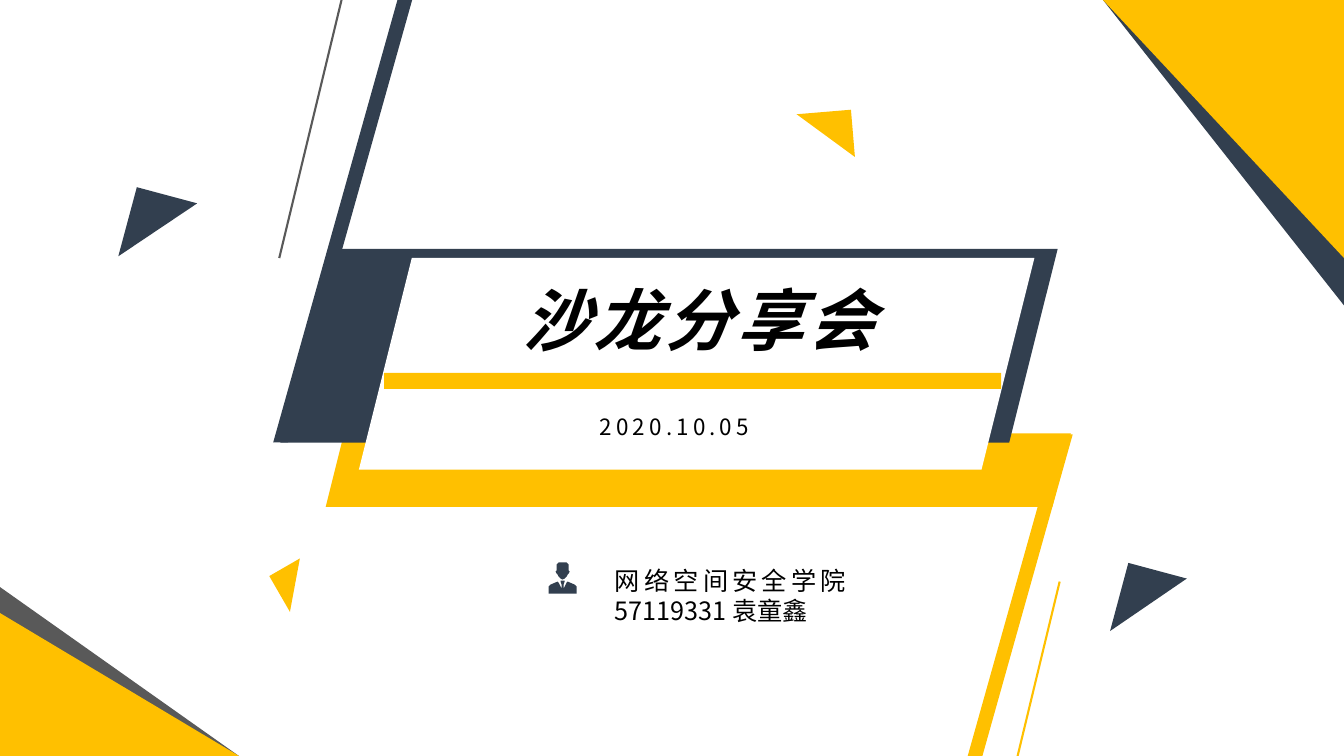
import pptx
import pptx.util
import pptx.dml.color
import pptx.enum.shapes
import pptx.enum.text
import pptx.oxml.ns
from lxml import etree
from pptx.util import Inches

THEME = {
    "navy": "323F4F",
    "gold": "FFC000",
    "gray": "595959",
    "white": "FFFFFF",
    "black": "000000",
    "font": "Noto Sans CJK SC",
    "title": 48,
    "author": 18,
    "date": 16,
    "line": 1.5,
    "leading": 1.2,
}
SHAPES = pptx.enum.shapes.MSO_SHAPE
ALIGN = pptx.enum.text.PP_ALIGN


def paint(shape, color):
    shape.shadow.inherit = False
    shape.fill.solid()
    shape.fill.fore_color.rgb = pptx.dml.color.RGBColor.from_string(THEME[color])
    shape.line.fill.background()


def add_text(left, top, width, height, lines, size, alignment, bold=False):
    box = slide.shapes.add_textbox(Inches(left), Inches(top), Inches(width), Inches(height))
    frame = box.text_frame
    frame.word_wrap = False
    frame.text = "\n".join(text for text, spacing in lines)
    for paragraph, (text, spacing) in zip(frame.paragraphs, lines):
        paragraph.alignment = alignment
        paragraph.line_spacing = pptx.util.Pt(THEME[size] * THEME["leading"])
        font = paragraph.runs[0].font
        font.size = pptx.util.Pt(THEME[size])
        font.name = THEME["font"]
        font.bold = font.italic = bold
        font.color.rgb = pptx.dml.color.RGBColor.from_string(THEME["black"])
        properties = paragraph.runs[0]._r.get_or_add_rPr()
        properties.set("spc", str(spacing * 100))
        east_asian = etree.SubElement(properties, pptx.oxml.ns.qn("a:ea"))
        east_asian.set("typeface", THEME["font"])


presentation = pptx.Presentation()
presentation.slide_width = Inches(13.33)
presentation.slide_height = Inches(7.5)
slide = presentation.slides.add_slide(presentation.slide_layouts[6])

triangles = [
    (1.21, 1.97, 0.71, 0.62, 105, "navy"),
    (2.72, 5.63, 0.41, 0.35, 60, "gold"),
    (7.92, 1.11, 0.54, 0.47, 175.2, "gold"),
    (11.04, 5.7, 0.7, 0.6, 105, "navy"),
    (-0.02, 5.81, 2.39, 1.69, 0, "gray"),
    (-0.02, 6.07, 2.39, 1.43, 0, "gold"),
    (10.94, 0, 2.39, 3.03, 180, "navy"),
    (10.94, 0, 2.39, 2.56, 180, "gold"),
]
for left, top, width, height, rotation, color in triangles:
    triangle = slide.shapes.add_shape(
        SHAPES.ISOSCELES_TRIANGLE, Inches(left), Inches(top), Inches(width), Inches(height))
    triangle.adjustments[0] = 0
    triangle.rotation = rotation
    paint(triangle, color)

bands = [
    (3.23, 4.3, 7.39, 0.73, 0.25, "gold"),
    (2.78, 2.47, 7.71, 1.92, 0.25, "navy"),
    (3.56, 2.56, 6.7, 2.1, 0.25, "white"),
    (9.18, 4.31, 1.46, 4.68, 0.9, "gold"),
    (2.71, -0.29, 1.46, 4.68, 0.9, "navy"),
]
for left, top, width, height, slant, color in bands:
    band = slide.shapes.add_shape(
        SHAPES.PARALLELOGRAM, Inches(left), Inches(top), Inches(width), Inches(height))
    band.adjustments[0] = slant
    paint(band, color)

slanted_lines = [
    (10.51, 5.77, 9.83, 8.59, "gold"),
    (3.45, -0.26, 2.77, 2.56, "gray"),
]
for start_x, start_y, end_x, end_y, color in slanted_lines:
    connector = slide.shapes.add_connector(
        pptx.enum.shapes.MSO_CONNECTOR.STRAIGHT,
        Inches(start_x), Inches(start_y), Inches(end_x), Inches(end_y))
    connector.line.color.rgb = pptx.dml.color.RGBColor.from_string(THEME[color])
    connector.line.width = pptx.util.Pt(THEME["line"])
    etree.SubElement(connector._element.spPr, pptx.oxml.ns.qn("a:effectLst"))

divider = slide.shapes.add_shape(
    SHAPES.RECTANGLE, Inches(3.81), Inches(3.7), Inches(6.12), Inches(0.16))
paint(divider, "gold")

add_text(5.04, 2.71, 3.78, 0.91, [("沙龙分享会", 3)], "title", ALIGN.CENTER, True)
add_text(6, 5.56, 2.56, 0.71, [("网络空间安全学院", 3), ("57119331 袁童鑫", 0)],
         "author", ALIGN.LEFT)

person_outlines = [
    [(556, 576), (560, 576), (560.5, 577), (559, 580), (559, 584), (562, 578),
     (563, 577), (570, 580.5), (572, 581.5), (572.5, 583), (572.5, 589), (544, 589),
     (544, 583), (544.5, 581.5), (546, 580.5), (553, 577), (554, 578), (557, 584),
     (557, 580), (555.5, 577)],
    [(558, 558), (562, 558.5), (564, 560), (564.5, 562), (564, 566), (564.7, 567),
     (564, 569), (563, 570), (562, 572.5), (560, 574), (558, 575), (556, 574),
     (554, 572.5), (553, 570), (552, 569), (551.3, 567), (552, 566), (551.5, 562),
     (552, 560), (554, 558.5)],
]
builder = slide.shapes.build_freeform(*person_outlines[0][0], scale=Inches(0.01))
for outline in person_outlines:
    builder.move_to(*outline[0])
    builder.add_line_segments(outline[1:], close=True)
person = builder.convert_to_shape()
paint(person, "navy")

add_text(5.8, 4.05, 1.78, 0.37, [("2020.10.05", 3)], "date", ALIGN.CENTER)

presentation.save("out.pptx")
